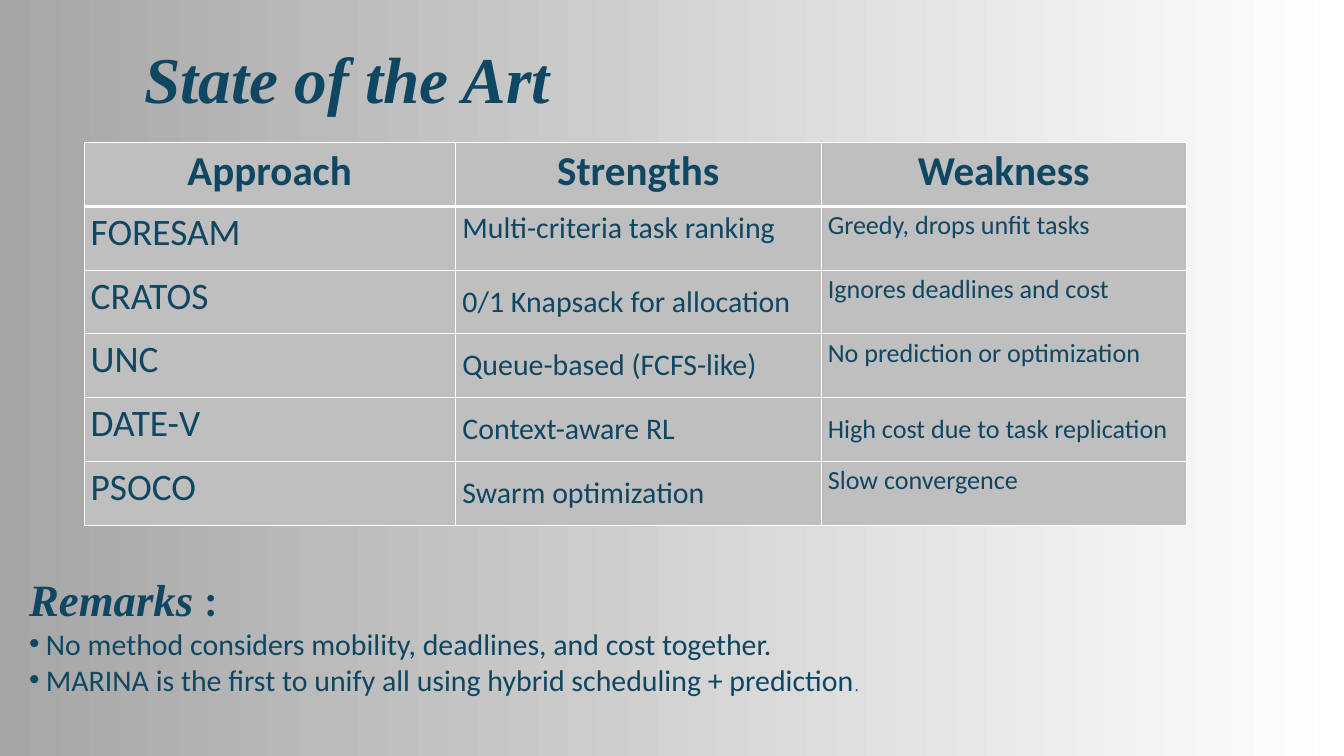
"""Build the State of the Art slide with its comparison table and remarks."""
from lxml.etree import SubElement as Sub
from pptx import Presentation
from pptx.dml.color import RGBColor as RGB
from pptx.enum.text import MSO_ANCHOR as Anchor, MSO_AUTO_SIZE as Auto, PP_ALIGN as Align
from pptx.oxml import parse_xml
from pptx.oxml.ns import nsdecls, qn
from pptx.util import Pt

PX = 9525
INK, GREY, WHITE = "0F4662", "BFBFBF", "FFFFFF"
SERIF, SANS = "Times New Roman", "Calibri"


def hue(code):
    return RGB.from_string(code)


def write(par, text, size=32, face=SANS, bold=False, slant=False, align=Align.LEFT):
    par.alignment = align
    run = par.add_run()
    run.text = text
    font = run.font
    font.size, font.name, font.bold, font.italic = Pt(size), face, bold, slant
    font.color.rgb = hue(INK)


deck = Presentation()
deck.slide_width, deck.slide_height = 1920 * PX, 1080 * PX
slide = deck.slides.add_slide(deck.slide_layouts[1])
back = slide.background.fill
back.gradient()
back.gradient_angle = 0
for stop, code in zip(back.gradient_stops, ("A6A6A6", WHITE)):
    stop.color.rgb = hue(code)

title, body = slide.placeholders
for box, place in ((title, (32, 36, 928, 126)), (body, (32, 812, 1512, 191))):
    box.left, box.top, box.width, box.height = [n * PX for n in place]
    frame = box.text_frame
    frame.word_wrap, frame.auto_size = True, Auto.NONE
    frame.vertical_anchor = Anchor.TOP

frame = title.text_frame
frame.margin_left = frame.margin_right = frame.margin_top = frame.margin_bottom = 0
head = frame.paragraphs[0]
head.line_spacing = Pt(98)
write(head, "State of the Art", size=70, face=SERIF, bold=True, slant=True, align=Align.CENTER)

rows = [
    ("Approach", "Strengths", "Weakness"),
    ("FORESAM", "Multi-criteria task ranking", "Greedy, drops unfit tasks"),
    ("CRATOS", "0/1 Knapsack for allocation", "Ignores deadlines and cost"),
    ("UNC", "Queue-based (FCFS-like)", "No prediction or optimization"),
    ("DATE-V", "Context-aware RL", "High cost due to task replication"),
    ("PSOCO", "Swarm optimization", "Slow convergence"),
]
middle = {(2, 1), (3, 1), (4, 1), (5, 1), (4, 2)}
wide = (531, 522, 522)
high = 91
grid = slide.shapes.add_table(
    len(rows), len(wide), 120 * PX, 204 * PX, sum(wide) * PX, len(rows) * high * PX).table
for col, width in zip(grid.columns, wide):
    col.width = width * PX
for r, row in enumerate(rows):
    grid.rows[r].height = high * PX
    for c, text in enumerate(row):
        cell = grid.cell(r, c)
        cell.fill.solid()
        cell.fill.fore_color.rgb = hue(GREY)
        cell.vertical_anchor = Anchor.MIDDLE if (r, c) in middle else Anchor.TOP
        par = cell.text_frame.paragraphs[0]
        if r == 0:
            write(par, text, size=44, bold=True, align=Align.CENTER)
        else:
            write(par, text, size=(40, 32, 28)[c])
        props = cell._tc.get_or_add_tcPr()
        for i, side in enumerate("LRTB"):
            thick = 3 if (r, side) in ((0, "B"), (1, "T")) else 1
            props.insert(i, parse_xml(
                f'<a:ln{side} {nsdecls("a")} w="{Pt(thick)}"><a:solidFill>'
                f'<a:srgbClr val="{WHITE}"/></a:solidFill></a:ln{side}>'))

notes = [
    [("Remarks ", dict(size=48, face=SERIF, bold=True, slant=True)),
     (":", dict(size=48, bold=True))],
    [("No method considers mobility, deadlines, and cost together.", {})],
    [("MARINA is the first to unify all using hybrid scheduling + prediction", {}),
     (".", dict(size=18))],
]
frame = body.text_frame
for i, runs in enumerate(notes):
    par = frame.add_paragraph() if i else frame.paragraphs[0]
    par.space_before = Pt(0)
    props = par._p.get_or_add_pPr()
    dent = 24 * PX if i else 0
    props.set("marL", str(dent))
    props.set("indent", str(-dent))
    if i:
        Sub(props, qn("a:buFont"), typeface="Arial")
        Sub(props, qn("a:buChar"), char="•")
    else:
        Sub(props, qn("a:buNone"))
    for text, look in runs:
        write(par, text, **look)

deck.save("out.pptx")
